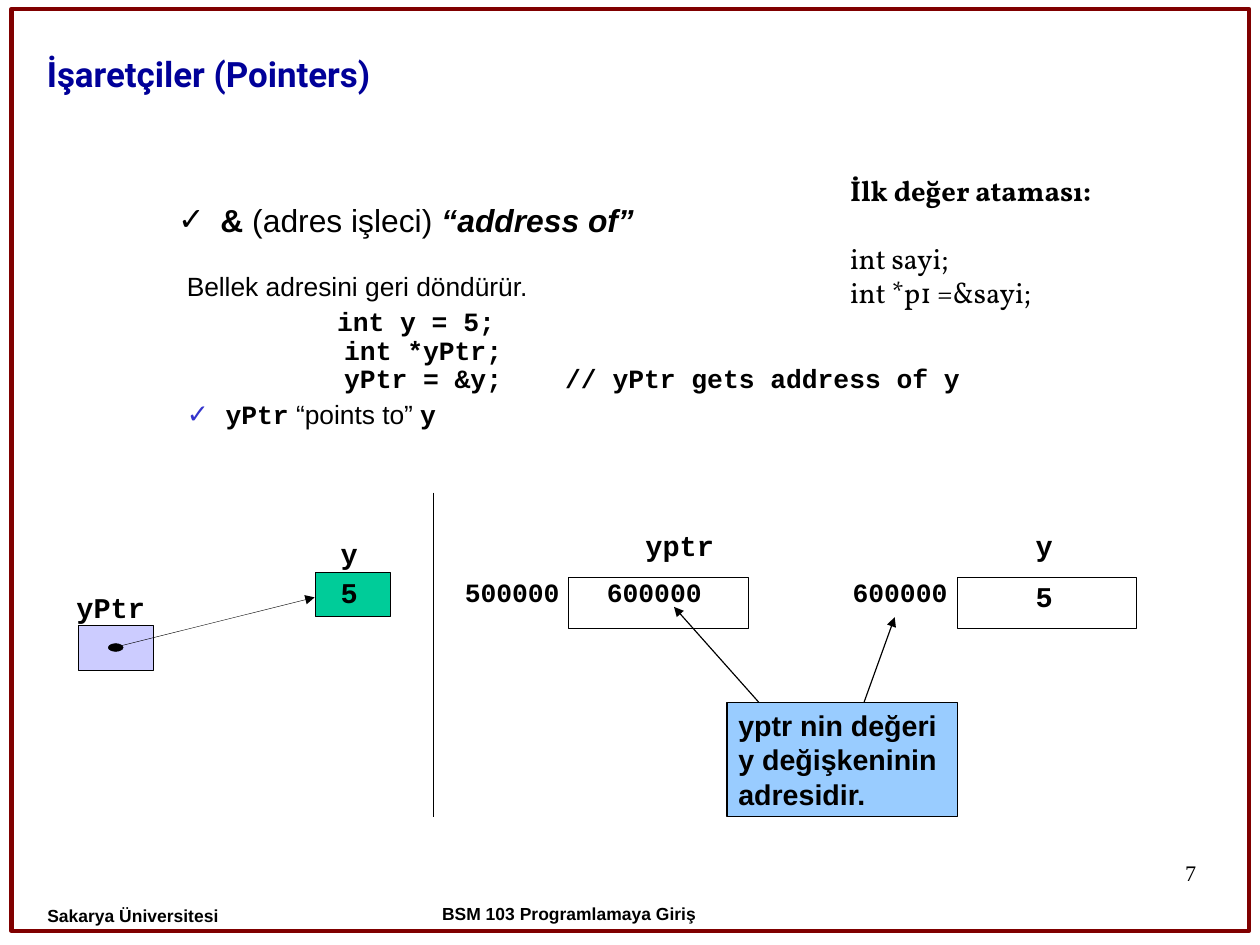
from lxml.etree import SubElement
from pptx import Presentation
from pptx.dml.color import RGBColor
from pptx.enum.shapes import MSO_CONNECTOR as Connector, MSO_SHAPE as Preset
from pptx.enum.text import MSO_ANCHOR as Anchor, MSO_AUTO_SIZE as AutoSize, PP_ALIGN as Align
from pptx.oxml.ns import qn
from pptx.util import Pt

BLACK = RGBColor(0x00, 0x00, 0x00)
MAROON = RGBColor(0x80, 0x00, 0x00)
NAVY = RGBColor(0x00, 0x00, 0x99)
CHECK_BLUE = RGBColor(0x33, 0x33, 0xCC)
LILAC = RGBColor(0xCC, 0xCC, 0xFF)
GREEN = RGBColor(0x00, 0xCC, 0x99)
SKY = RGBColor(0x99, 0xCC, 0xFF)
SANS, MONO, SERIF = "Arial", "Courier New", "Vollkorn"


def set_frame(shape, horizontal, vertical, anchor=Anchor.TOP):
    values = {
        "word_wrap": True,
        "auto_size": AutoSize.NONE,
        "vertical_anchor": anchor,
        "margin_left": Pt(horizontal),
        "margin_right": Pt(horizontal),
        "margin_top": Pt(vertical),
        "margin_bottom": Pt(vertical),
    }
    for name, value in values.items():
        setattr(shape.text_frame, name, value)
    return shape.text_frame


def write(paragraph, runs, size, align=Align.LEFT, spacing=1.0, before=0,
          indent=(0, 0), bullet=None, color=BLACK):
    values = {"alignment": align, "line_spacing": spacing, "space_before": Pt(before)}
    for name, value in values.items():
        setattr(paragraph, name, value)
    properties = paragraph._p.get_or_add_pPr()
    properties.set("marL", str(Pt(indent[0])))
    properties.set("indent", str(Pt(indent[1])))
    if bullet is None:
        SubElement(properties, qn("a:buNone"))
    else:
        bullet_color = SubElement(properties, qn("a:buClr"))
        SubElement(bullet_color, qn("a:srgbClr")).set("val", str(bullet))
        SubElement(properties, qn("a:buFont")).set("typeface", SANS)
        SubElement(properties, qn("a:buChar")).set("char", "✓")
    for position, (text, font_name, bold, italic, new_line) in enumerate(runs):
        if new_line and position:
            paragraph.add_line_break()
        run = paragraph.add_run()
        run.text = text
        values = {"name": font_name, "size": Pt(size), "bold": bold, "italic": italic}
        for name, value in values.items():
            setattr(run.font, name, value)
        run.font.color.rgb = color


presentation = Presentation()
presentation.slide_width = Pt(793.7)
presentation.slide_height = Pt(595.28)
slide = presentation.slides.add_slide(presentation.slide_layouts[1])
shapes = slide.shapes

for preset, left, top, width, height, fill, line_color, line_width in [
    (Preset.RECTANGLE, 7.2, 5.6, 779.6, 580.8, None, MAROON, 2.83),
    (Preset.RECTANGLE, 49.5, 394, 47, 28, LILAC, BLACK, 0.25),
    (Preset.RECTANGLE, 198.7, 360.4, 47, 28, GREEN, BLACK, 0.25),
    (Preset.OVAL, 68.2, 405.4, 9.4, 5, BLACK, BLACK, 0.25),
    (Preset.RECTANGLE, 358.2, 363.4, 113, 32.4, None, BLACK, 0.25),
    (Preset.RECTANGLE, 602.7, 363.4, 113, 32.4, None, BLACK, 0.25),
    (Preset.RECTANGLE, 458, 442.4, 145, 72.2, SKY, BLACK, 0.75),
]:
    shape = shapes.add_shape(preset, Pt(left), Pt(top), Pt(width), Pt(height))
    shape.shadow.inherit = False
    shape.line.color.rgb = line_color
    shape.line.width = Pt(line_width)
    if fill is None:
        shape.fill.background()
    else:
        shape.fill.solid()
        shape.fill.fore_color.rgb = fill

note = set_frame(shape, 7.2, 3.6)
write(note.paragraphs[0],
      [("yptr nin değeri y değişkeninin adresidir.", SANS, True, False, False)], 18)

for start_x, start_y, end_x, end_y, line_width, arrow in [
    (73.4, 407.5, 198.2, 376.3, 0.25, True),
    (272.9, 310.3, 272.9, 514.6, 0.75, False),
    (544.3, 442.4, 563.6, 388.8, 0.75, True),
    (478, 442.4, 424.6, 382.3, 0.75, True),
]:
    connector = shapes.add_connector(
        Connector.STRAIGHT, Pt(start_x), Pt(start_y), Pt(end_x), Pt(end_y))
    connector.line.color.rgb = BLACK
    connector.line.width = Pt(line_width)
    if arrow:
        SubElement(connector.line._get_or_add_ln(), qn("a:tailEnd")).set("type", "triangle")
    SubElement(connector._element.spPr, qn("a:effectLst"))

for text, left, top, width, size, spacing in [
    ("yPtr", 48.2, 377, 50, 18, 0.72),
    ("y", 214.6, 343.4, 15, 18, 0.72),
    ("5", 214.6, 367.6, 15, 18, 0.72),
    ("yptr", 406.6, 336.7, 45, 18, 0.8),
    ("500000", 292.8, 368.6, 65, 16.6, 0.7),
    ("600000", 382.3, 368.6, 65, 16.6, 0.7),
    ("y", 652.3, 336.7, 13, 18, 0.8),
    ("600000", 537.1, 368.6, 65, 16.6, 0.7),
    ("5", 652.3, 368.6, 13, 18, 0.8),
]:
    label = shapes.add_textbox(Pt(left), Pt(top), Pt(width), Pt(20))
    write(set_frame(label, 0, 0).paragraphs[0],
          [(text, MONO, True, False, False)], size, spacing=spacing)

for text, left, top, width, margins, font_name, size, bold, align, spacing in [
    ("7", 568.6, 542.2, 185, (0, 0), "Times New Roman", 14, False, Align.RIGHT, 0.95),
    ("Sakarya Üniversitesi", 14, 558.3, 170, (15.8, 13), SANS, 11, True, Align.LEFT, 0.93),
    ("BSM 103 Programlamaya Giriş", 223.9, 558, 269.3, (15.8, 13), SANS, 11, True,
     Align.CENTER, 0.83),
]:
    footer = shapes.add_textbox(Pt(left), Pt(top), Pt(width), Pt(36))
    write(set_frame(footer, *margins).paragraphs[0],
          [(text, font_name, bold, False, False)], size, align, spacing)

operator = shapes.add_textbox(Pt(104.4), Pt(122), Pt(310), Pt(31.7))
write(set_frame(operator, 7.9, 4.3).paragraphs[0],
      [("&", SANS, True, False, False),
       (" (adres işleci) ", SANS, False, False, False),
       ("“address of”", SANS, True, True, False)],
      20, indent=(26.6, -26.6), bullet=BLACK)

initial_value = shapes.add_textbox(Pt(527.6), Pt(104.8), Pt(212.4), Pt(94.3))
initial_frame = set_frame(initial_value, 7.9, 4.3)
for position, (text, bold, before) in enumerate([
    ("İlk değer ataması:", True, 0),
    ("int sayi;", False, 21),
    ("int *p1 =&sayi;", False, 0),
]):
    paragraph = initial_frame.add_paragraph() if position else initial_frame.paragraphs[0]
    write(paragraph, [(text, SERIF, bold, False, False)], 18, before=before)

title, body = slide.placeholders
for placeholder, left, top, width, height in [
    (title, 22.3, 19.8, 576, 43.2),
    (body, 70.2, 167.8, 674.6, 121),
]:
    values = {"left": left, "top": top, "width": width, "height": height}
    for name, value in values.items():
        setattr(placeholder, name, Pt(value))

write(set_frame(title, 7.2, 3.6, Anchor.BOTTOM).paragraphs[0],
      [("İşaretçiler (Pointers)", "Roboto", True, False, False)], 22, color=NAVY)

body_frame = set_frame(body, 7.9, 4.3)
code_lines = ["int y = 5;", "int *yPtr;", "yPtr = &y;    // yPtr gets address of y"]
for position, (level, indent, bullet, runs) in enumerate([
    (1, (64, -24.5), None, [("Bellek adresini geri döndürür.", SANS, False, False, False)]),
    (3, (138.7, -4.5), None, [(line, MONO, True, False, True) for line in code_lines]),
    (1, (64, -24.5), CHECK_BLUE, [("yPtr", MONO, True, False, False),
                                  (" “points to” ", SANS, False, False, False),
                                  ("y", MONO, True, False, False)]),
]):
    paragraph = body_frame.add_paragraph() if position else body_frame.paragraphs[0]
    paragraph.level = level
    write(paragraph, runs, 16.6, spacing=0.9, before=4.5 if position else 0,
          indent=indent, bullet=bullet)

presentation.save("out.pptx")
